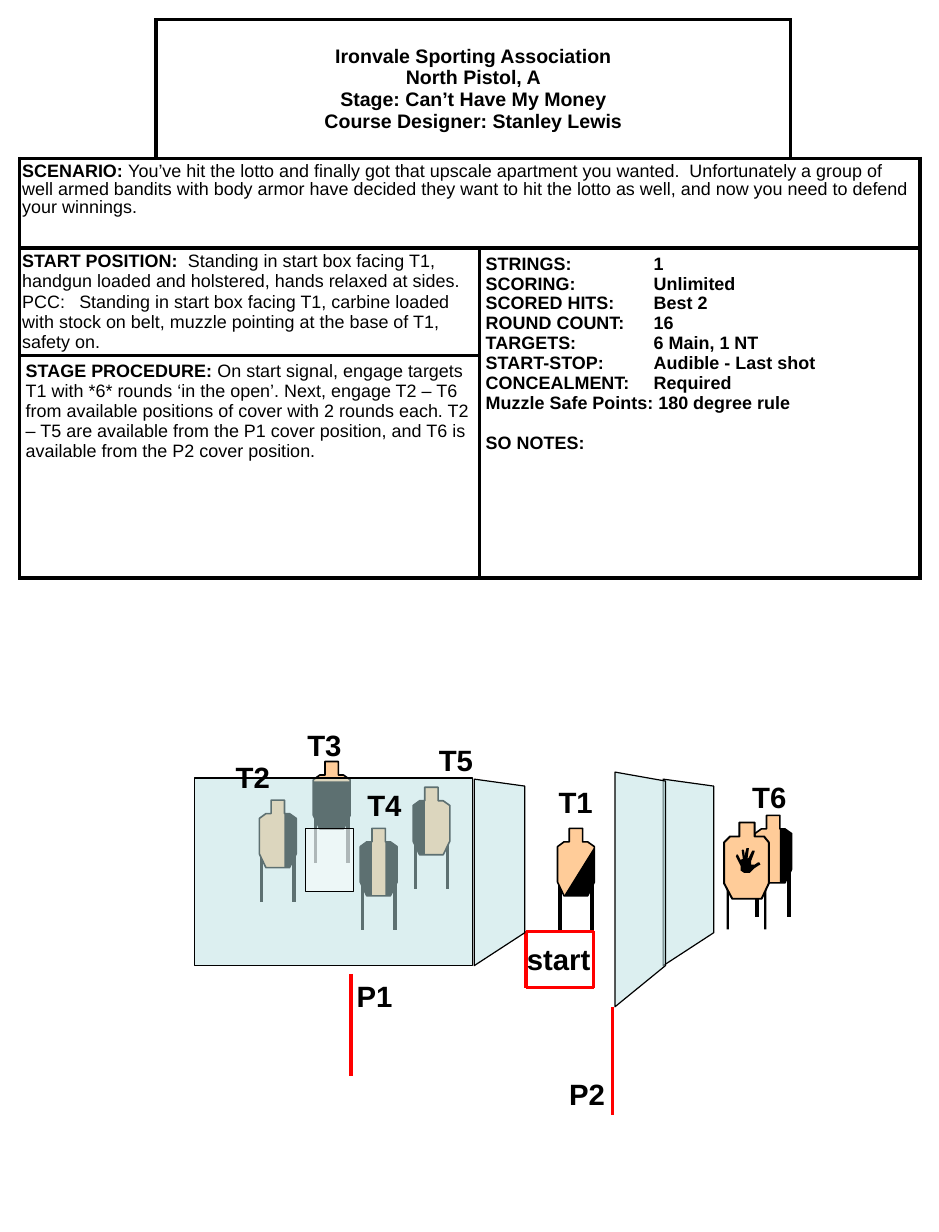
from dataclasses import dataclass

from lxml import etree
from pptx import Presentation
from pptx import util as u
from pptx.dml.color import RGBColor
from pptx.enum import shapes, text
from pptx.oxml.ns import qn

Pt = u.Pt
Points = list[tuple[float, float]]


@dataclass(frozen=True)
class Theme:
    font: str = "Arial"
    ink: str = "000000"
    paper: str = "FFFFFF"
    card: str = "FFCC99"
    wall: str = "BBE0E3"
    mark: str = "FF0000"
    title: float = 12
    body: float = 11
    label: float = 18
    border: float = 2.25
    thin: float = 0.75


@dataclass(frozen=True)
class Para:
    runs: list[tuple[str, bool]]
    before: float = 0
    tab: float = 0
    spacing: float = 1


@dataclass(frozen=True)
class Block:
    first: tuple[int, int]
    last: tuple[int, int]
    inset: tuple[float, float]
    paras: list[Para]


@dataclass(frozen=True)
class Target:
    x: float
    y: float
    shades: list[Points]


@dataclass(frozen=True)
class Label:
    text: str
    x: float
    y: float
    w: float = 41.8


T = Theme()

# Stage description
SPECS = ["STRINGS:\t1", "SCORING:\tUnlimited", "SCORED HITS:\tBest 2",
         "ROUND COUNT:\t16", "TARGETS:\t6 Main, 1 NT",
         "START-STOP:\tAudible - Last shot", "CONCEALMENT:\tRequired",
         "Muzzle Safe Points: 180 degree rule"]
HEADER = Block((0, 1), (0, 2), (3.6, 3.6), [Para([(
    "Ironvale Sporting Association\nNorth Pistol, A\n"
    "Stage: Can’t Have My Money\nCourse Designer: Stanley Lewis", True)])])
BLOCKS = [
    Block((1, 0), (1, 3), (1.44, 2.88), [Para([
        ("SCENARIO: ", True),
        ("You’ve hit the lotto and finally got that upscale apartment you wanted.  "
         "Unfortunately a group of well armed bandits with body armor have decided "
         "they want to hit the lotto as well, and now you need to defend your "
         "winnings.", False)], spacing=0.9)]),
    Block((2, 0), (2, 1), (1.44, 2.16), [
        Para([("START POSITION:  ", True),
              ("Standing in start box facing T1, handgun loaded and holstered, "
               "hands relaxed at sides.", False)]),
        Para([("PCC:\tStanding in start box facing T1, carbine loaded with stock on "
               "belt, muzzle pointing at the base of T1, safety on.", False)],
             before=0.5, tab=35)]),
    Block((2, 2), (3, 3), (3.6, 3.6),
          [Para([(line, True)], tab=103) for line in SPECS]
          + [Para([("SO NOTES:", True)], before=12)]),
    Block((3, 0), (3, 1), (3.6, 3.6), [Para([
        ("STAGE PROCEDURE: ", True),
        ("On start signal, engage targets T1 with *6* rounds ‘in the open’. Next, "
         "engage T2 – T6 from available positions of cover with 2 rounds each. "
         "T2 – T5 are available from the P1 cover position, and T6 is available "
         "from the P2 cover position.", False)])]),
]

# Target outlines, in points from each target's top-left corner
CARD = [(7.2, 0), (15.4, 0), (15.4, 8.3), (18.5, 8.3), (22.6, 11.2), (22.6, 33),
        (18.5, 41.4), (4, 41.4), (0, 33), (0, 11.2), (4, 8.3), (7.2, 8.3)]
LEFT = [(7.2, 8.3), (7.2, 41.4), (4, 41.4), (0, 33), (0, 11.2), (4, 8.3)]
RIGHT = [(22.6 - x, y) for x, y in LEFT]
LOWER = [(0, 12.2), (22.6, 12.2), (22.6, 33), (18.5, 41.4), (4, 41.4), (0, 33)]
CORNER = [(22.6, 11.5), (22.6, 33), (18.5, 41.4), (4, 41.4)]
TARGETS = [Target(253.4, 483.1, [LEFT]), Target(159.1, 491, [RIGHT]),
           Target(221, 508.3, [LEFT, RIGHT]), Target(192.2, 467.3, [LOWER]),
           Target(463, 500.4, [RIGHT]), Target(342, 508.3, [CORNER])]
NO_SHOOT = [(9.4, 0), (18.7, 0), (18.7, 8.6), (24.5, 8.6), (27.4, 12.2), (27.4, 37.4),
            (23, 46.8), (5, 46.8), (0, 37.4), (0, 12.2), (3.6, 8.6), (9.4, 8.6)]
HAND = [(14, 19), (12, 21), (7, 21), (4, 19), (4, 15), (3, 13), (0, 7), (1, 5), (2, 6),
        (4, 10), (6, 9), (5, 2), (6, 1), (7, 2), (8, 9), (8, 4), (9, 0), (11, 0),
        (11, 1), (10, 9), (11, 8), (14, 2), (16, 2), (16, 3), (13, 11), (13, 14),
        (16, 14), (19, 12), (20, 12), (21, 14), (19, 15), (16, 17)]

# Walls, in slide points
SIDE = [(0, 114.5), (0, 0), (31, 4.3), (31, 94.3)]
NEAR = [(0, 144), (0, 0), (31, 5.5), (31, 118.7)]
WALLS = [(290.9, 478.1, SIDE), (406.8, 478.1, SIDE), (377.3, 473.8, NEAR)]

LABELS = [Label("start", 316.1, 573.8, 61.9), Label("P2", 342, 656.6),
          Label("P1", 211.7, 596.9), Label("T1", 335.5, 477.4),
          Label("T2", 137.5, 462.2), Label("T3", 181.4, 442.8),
          Label("T6", 454.3, 474.5), Label("T5", 262.1, 452.2),
          Label("T4", 218.2, 479.5)]


def rgb(colour: str) -> RGBColor:
    return RGBColor.from_string(colour)


def paint(sp, fill: str, line: float = 0, alpha: int = 100) -> None:
    sp.shadow.inherit = False
    sp.fill.solid()
    sp.fill.fore_color.rgb = rgb(fill)
    if alpha < 100:
        clr = sp._element.spPr.find(qn("a:solidFill"))[0]
        etree.SubElement(clr, qn("a:alpha"), val=str(alpha * 1000))
    if line:
        sp.line.color.rgb = rgb(T.ink)
        sp.line.width = Pt(line)
    else:
        sp.line.fill.background()


def outline(parent, x: float, y: float, pts: Points, fill: str, line: float = 0,
            alpha: int = 100, scale: float = 1) -> None:
    pts = [(Pt(x + px * scale), Pt(y + py * scale)) for px, py in pts]
    fb = parent.build_freeform(*pts[0], scale=1.0)
    fb.add_line_segments(pts[1:], close=True)
    paint(fb.convert_to_shape(), fill, line, alpha)


def rect(parent, x: float, y: float, w: float, h: float, fill: str, line: float = 0,
         alpha: int = 100) -> None:
    sp = parent.add_shape(shapes.MSO_SHAPE.RECTANGLE, Pt(x), Pt(y), Pt(w), Pt(h))
    paint(sp, fill, line, alpha)


def line(parent, x1: float, y1: float, x2: float, y2: float, colour: str,
         width: float) -> None:
    c = parent.add_connector(shapes.MSO_CONNECTOR.STRAIGHT, Pt(x1), Pt(y1), Pt(x2), Pt(y2))
    c.line.color.rgb = rgb(colour)
    c.line.width = Pt(width)
    etree.SubElement(c._element.spPr, qn("a:effectLst"))


def set_font(p, size: float, bold: bool | None = None) -> None:
    p.font.name, p.font.size, p.font.bold = T.font, Pt(size), bold
    p.font.color.rgb = rgb(T.ink)


def write(p, para: Para, size: float) -> None:
    if para.tab:
        tabs = etree.SubElement(p._p.get_or_add_pPr(), qn("a:tabLst"))
        etree.SubElement(tabs, qn("a:tab"), pos=str(Pt(para.tab)), algn="l")
    if para.before:
        p.space_before = Pt(para.before)
    if para.spacing != 1:
        p.line_spacing = para.spacing
    if len(para.runs) == 1:
        p.text, bold = para.runs[0]
        set_font(p, size, bold)
        return
    set_font(p, size)
    for words, bold in para.runs:
        r = p.add_run()
        r.text, r.font.bold = words, bold


def border(cell, sides: str) -> None:
    tcPr = cell._tc.get_or_add_tcPr()
    for side in "LRTB":
        ln = etree.SubElement(tcPr, qn("a:ln" + side), w=str(Pt(T.border)))
        if side in sides:
            fill = etree.SubElement(ln, qn("a:solidFill"))
            etree.SubElement(fill, qn("a:srgbClr"), val=T.ink)
        else:
            etree.SubElement(ln, qn("a:noFill"))
    cell.fill.solid()
    cell.fill.fore_color.rgb = rgb(T.paper)


def fill_block(tbl, b: Block, size: float):
    cell = tbl.cell(*b.first)
    cell.merge(tbl.cell(*b.last))
    cell.margin_left = cell.margin_right = Pt(b.inset[0])
    cell.margin_top = cell.margin_bottom = Pt(b.inset[1])
    tf = cell.text_frame
    for i, para in enumerate(b.paras):
        write(tf.add_paragraph() if i else tf.paragraphs[0], para, size)
    return cell


def stage_table(s) -> None:
    widths, heights = [83.5, 198.7, 190.8, 79.2], [85, 55, 66, 136.5]
    tbl = s.shapes.add_table(4, 4, Pt(12.2), Pt(12.2), Pt(sum(widths)), Pt(sum(heights))).table
    tbl.first_row = tbl.horz_banding = False
    for col, w in zip(tbl.columns, widths):
        col.width = Pt(w)
    for row, h in zip(tbl.rows, heights):
        row.height = Pt(h)
    for r in range(4):
        for c in range(4):
            border(tbl.cell(r, c), {(0, 0): "RB", (0, 3): "LB"}.get((r, c), "LRTB"))
    head = fill_block(tbl, HEADER, T.title)
    head.vertical_anchor = text.MSO_ANCHOR.MIDDLE
    head.text_frame.paragraphs[0].alignment = text.PP_ALIGN.CENTER
    for b in BLOCKS:
        fill_block(tbl, b, T.body)


def target(s, t: Target) -> None:
    g = s.shapes.add_group_shape().shapes
    for leg in (1.4, 21.2):
        line(g, t.x + leg, t.y + 31, t.x + leg, t.y + 62.3, T.ink, T.border)
    outline(g, t.x, t.y, CARD, T.card, 1)
    for shade in t.shades:
        outline(g, t.x, t.y, shade, T.ink)


def no_shoot(s, x: float, y: float) -> None:
    g = s.shapes.add_group_shape().shapes
    for leg in (1.5, 24.5):
        rect(g, x + leg, y + 34.6, 1.5, 31, T.ink)
    outline(g, x, y, NO_SHOOT, T.card, 1.2)
    outline(g, x + 7.2, y + 15.8, HAND, T.ink, scale=0.72)


def label(s, t: Label) -> None:
    tf = s.shapes.add_textbox(Pt(t.x), Pt(t.y), Pt(t.w), Pt(28.8)).text_frame
    tf.word_wrap = True
    write(tf.paragraphs[0], Para([(t.text, True)]), T.label)


def main() -> None:
    prs = Presentation()
    prs.slide_width, prs.slide_height = Pt(576), Pt(756)
    s = prs.slides.add_slide(prs.slide_layouts[6])
    stage_table(s)
    for t in TARGETS:
        target(s, t)
    no_shoot(s, 444.2, 504.7)
    # Start box, then the P1 and P2 cover lines
    x1, y1, x2, y2 = 322.6, 571.5, 364.3, 606
    for ends in [(x1, y1, x2, y1), (x2, y1, x2, y2), (x1, y2, x2, y2), (x1, y1, x1, y2),
                 (215.3, 597.6, 215.3, 660.2), (375.8, 617.8, 375.8, 684)]:
        line(s.shapes, *ends, T.mark, 2)
    # See-through walls and window
    rect(s.shapes, 119.5, 477.4, 170.6, 115.2, T.wall, T.thin, 50)
    rect(s.shapes, 187.2, 508.3, 29.5, 38.9, T.paper, T.thin, 50)
    for x, y, pts in WALLS:
        outline(s.shapes, x, y, pts, T.wall, T.thin, 50)
    for t in LABELS:
        label(s, t)
    prs.save("out.pptx")


if __name__ == "__main__":
    main()
